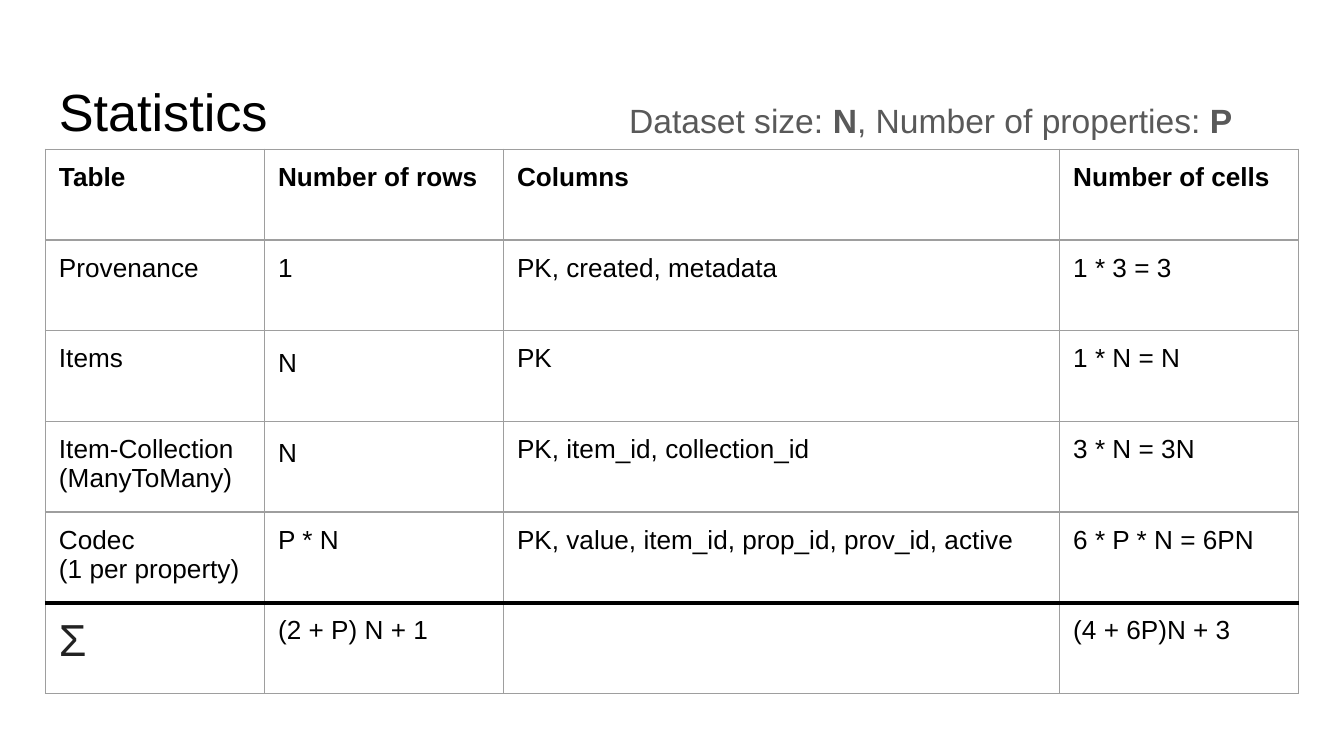
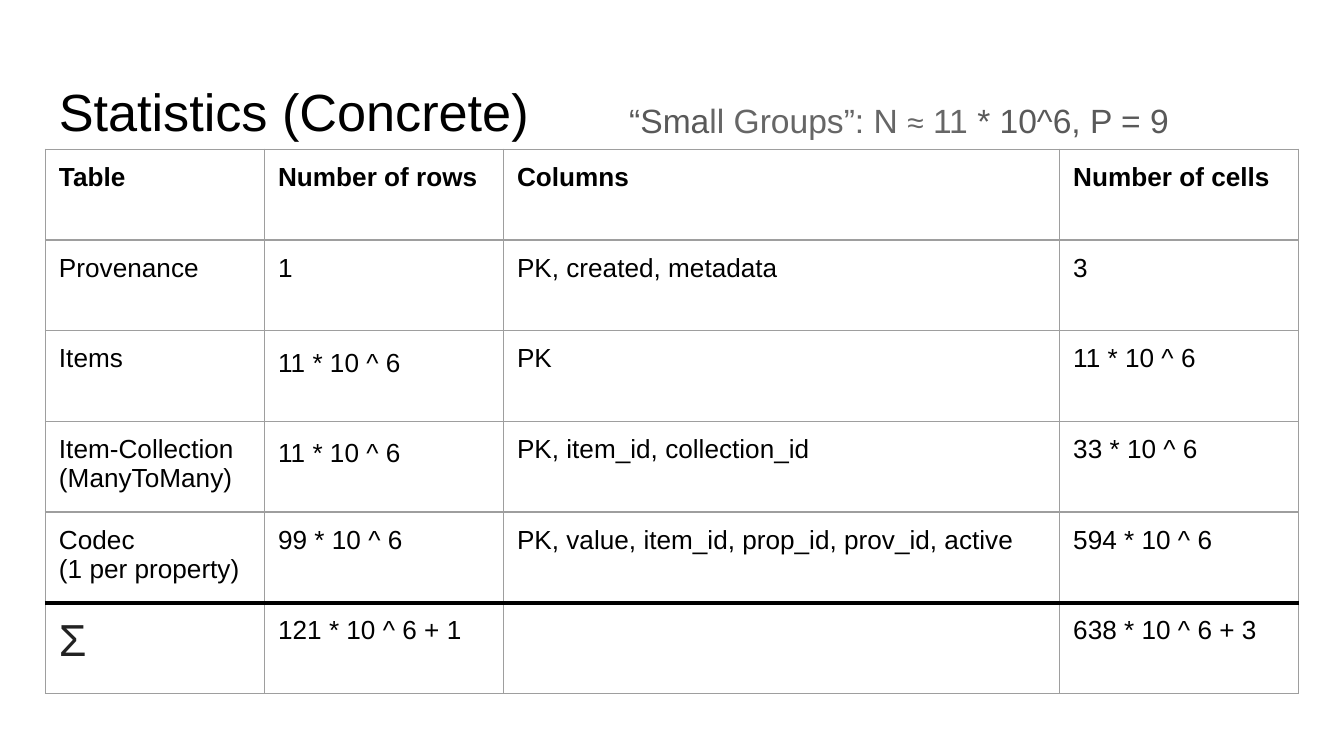
from dataclasses import dataclass
from typing import NamedTuple

from lxml import etree
from pptx import Presentation
from pptx.dml import color
from pptx.enum import text
from pptx.oxml import ns
from pptx.util import Pt

COLORS = {
    "black": "000000",
    "subtitle": "595959",
    "subtitle_light": "666666",
    "sigma": "222222",
    "grid": "9E9E9E",
}
FONT = "Arial"
INSET = Pt(7.2)
LEFT = 24.4
TABLE_TOP = 80
COLUMN_WIDTHS = (117.4, 128, 298, 128)
ROW_HEIGHT = 48.6
GRID_WIDTH, RULE_WIDTH = 0.75, 2.25

HEADER = ("Table", "Number of rows", "Columns", "Number of cells")
TABLE_NAMES = (
    "Provenance",
    "Items",
    "Item-Collection\n(ManyToMany)",
    "Codec\n(1 per property)",
    "Σ",
)
TABLE_COLUMNS = (
    "PK, created, metadata",
    "PK",
    "PK, item_id, collection_id",
    "PK, value, item_id, prop_id, prov_id, active",
    "",
)
SPACED_CELLS = {(2, 1), (3, 1)}


class Span(NamedTuple):
    """A stretch of subtitle text with one format."""
    wording: str
    color: str = "subtitle"
    size: float = 18
    bold: bool = False


@dataclass(frozen=True)
class StatisticsSlide:
    """What differs from one statistics slide to the next."""
    title: str
    subtitle: tuple[Span, ...]
    row_counts: tuple[str, ...]
    cell_counts: tuple[str, ...]


SLIDES = (
    StatisticsSlide(
        "Statistics",
        (
            Span("Dataset size: "),
            Span("N", bold=True),
            Span(", Number of properties: "),
            Span("P", bold=True),
        ),
        ("1", "N", "N", "P * N", "(2 + P) N + 1"),
        ("1 * 3 = 3", "1 * N = N", "3 * N = 3N", "6 * P * N = 6PN", "(4 + 6P)N + 3"),
    ),
    StatisticsSlide(
        "Statistics (Concrete)",
        (
            Span("“Sma"),
            Span("ll Groups”: N ", "subtitle_light"),
            Span("≈", "subtitle_light", 16),
            Span(" 11", "subtitle_light"),
            Span(" * 10^6, P = 9"),
        ),
        ("1", "11 * 10 ^ 6", "11 * 10 ^ 6", "99 * 10 ^ 6", "121 * 10 ^ 6 + 1"),
        ("3", "11 * 10 ^ 6", "33 * 10 ^ 6", "594 * 10 ^ 6", "638 * 10 ^ 6 + 3"),
    ),
)


def format_run(run, size: float, color_name: str, bold: bool = False) -> None:
    """Set the font of one run."""
    run.font.name = FONT
    run.font.size = Pt(size)
    run.font.bold = bold
    run.font.color.rgb = color.RGBColor.from_string(COLORS[color_name])


def space_paragraph(paragraph) -> None:
    """Give a paragraph the loose body spacing."""
    paragraph.line_spacing = 1.15
    paragraph.space_after = Pt(16)


def add_text(slide, box: tuple[float, ...], spans: tuple[Span, ...]):
    """Add a one-paragraph text box and return the paragraph."""
    frame = slide.shapes.add_textbox(*map(Pt, box)).text_frame
    frame.word_wrap = True
    frame.vertical_anchor = text.MSO_ANCHOR.TOP
    frame.margin_left = frame.margin_right = INSET
    frame.margin_top = frame.margin_bottom = INSET
    paragraph = frame.paragraphs[0]
    for span in spans:
        run = paragraph.add_run()
        run.text = span.wording
        format_run(run, span.size, span.color, span.bold)
    return paragraph


def set_border(cell, side: str, color_name: str, width: float) -> None:
    """Draw one side (L, R, T or B) of a cell."""
    properties = cell._tc.get_or_add_tcPr()
    line = etree.SubElement(properties, ns.qn(f"a:ln{side}"), w=str(Pt(width)))
    fill = etree.SubElement(line, ns.qn("a:solidFill"))
    etree.SubElement(fill, ns.qn("a:srgbClr"), val=COLORS[color_name])


def fill_cell(cell, wording: str, row: int, column: int, last_row: int) -> None:
    """Write and format one table cell."""
    cell.margin_left = cell.margin_right = INSET
    cell.margin_top = cell.margin_bottom = INSET
    rule_side = {last_row - 1: "B", last_row: "T"}.get(row)
    for side in "LRTB":
        if side == rule_side:
            set_border(cell, side, "black", RULE_WIDTH)
        else:
            set_border(cell, side, "grid", GRID_WIDTH)
    cell.fill.background()
    cell.text_frame.text = wording
    is_sigma = row == last_row and column == 0
    for paragraph in cell.text_frame.paragraphs:
        if (row, column) in SPACED_CELLS:
            space_paragraph(paragraph)
        for run in paragraph.runs:
            if is_sigma:
                format_run(run, 24, "sigma")
            else:
                format_run(run, 14, "black", bold=row == 0)


def add_statistics_table(slide, content: StatisticsSlide) -> None:
    """Add the table of row and cell counts."""
    rows = [HEADER, *zip(TABLE_NAMES, content.row_counts, TABLE_COLUMNS, content.cell_counts)]
    table = slide.shapes.add_table(
        len(rows), len(HEADER), Pt(LEFT), Pt(TABLE_TOP),
        Pt(sum(COLUMN_WIDTHS)), Pt(ROW_HEIGHT * len(rows)),
    ).table
    table.first_row = table.horz_banding = False
    for column, width in zip(table.columns, COLUMN_WIDTHS):
        column.width = Pt(width)
    for row_index, row in enumerate(rows):
        table.rows[row_index].height = Pt(ROW_HEIGHT)
        for column_index, wording in enumerate(row):
            cell = table.cell(row_index, column_index)
            fill_cell(cell, wording, row_index, column_index, len(rows) - 1)


def add_statistics_slide(presentation, content: StatisticsSlide) -> None:
    """Add one slide: title, subtitle and table."""
    slide = presentation.slides.add_slide(presentation.slide_layouts[6])
    add_text(slide, (LEFT, 35, 671, 45.4), (Span(content.title, "black", 28),))
    space_paragraph(add_text(slide, (330, 43.2, 350.6, 29.5), content.subtitle))
    add_statistics_table(slide, content)


def main() -> None:
    """Build the presentation."""
    presentation = Presentation()
    presentation.slide_width = Pt(720)
    presentation.slide_height = Pt(405)
    for content in SLIDES:
        add_statistics_slide(presentation, content)
    presentation.save("out.pptx")


main()
